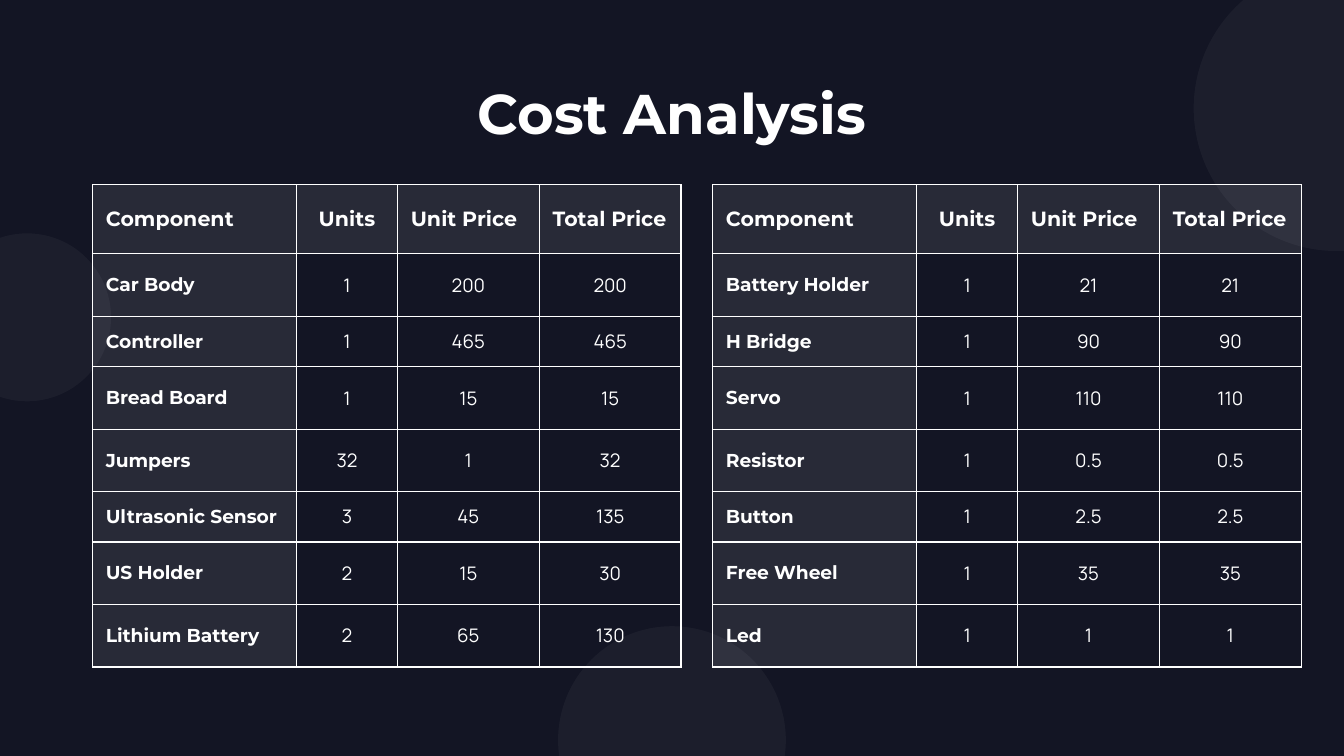
from lxml.etree import SubElement
from pptx import Presentation
from pptx.dml.color import RGBColor
from pptx.enum.shapes import MSO_SHAPE
from pptx.enum.text import MSO_ANCHOR, MSO_AUTO_SIZE, PP_ALIGN
from pptx.oxml import parse_xml
from pptx.oxml.ns import nsdecls, qn
from pptx.util import Pt

WHITE, NAVY = "FFFFFF", "131524"
HEAD, BODY = "Montserrat", "Manrope"
WIDTHS = [109.4, 54, 76, 76]
HEIGHTS = [37, 33.5, 27, 33.5, 33.5, 27, 33.5, 33.5]
HEADS = ["Component", "Units", "Unit Price", "Total Price"]
LEFT = [
    ("Car Body", 1, 200),
    ("Controller", 1, 465),
    ("Bread Board", 1, 15),
    ("Jumpers", 32, 1),
    ("Ultrasonic Sensor", 3, 45),
    ("US Holder", 2, 15),
    ("Lithium Battery", 2, 65),
]
RIGHT = [
    ("Battery Holder", 1, 21),
    ("H Bridge", 1, 90),
    ("Servo", 1, 110),
    ("Resistor", 1, 0.5),
    ("Button", 1, 2.5),
    ("Free Wheel", 1, 35),
    ("Led", 1, 1),
]
CIRCLES = [(299, 335.5, 122), (-30.5, 125, 90), (639.5, -18.5, 153)]


def paint(fill, color, alpha=100):
    fill.solid()
    fill.fore_color.rgb = RGBColor.from_string(color)
    if alpha < 100:
        tone = fill._xPr.find(".//" + qn("a:srgbClr"))
        SubElement(tone, qn("a:alpha")).set("val", str(alpha * 1000))


def write(frame, text, size=10, font=BODY, color=WHITE, bold=False, align=PP_ALIGN.CENTER):
    para = frame.paragraphs[0]
    para.alignment = align
    run = para.add_run()
    run.text = text
    run.font.size = Pt(size)
    run.font.name = font
    run.font.bold = bold
    run.font.color.rgb = RGBColor.from_string(color)


def circle(slide, left, top, size):
    disc = slide.shapes.add_shape(MSO_SHAPE.OVAL, Pt(left), Pt(top), Pt(size), Pt(size))
    disc.shadow.inherit = False
    disc.line.fill.background()
    paint(disc.fill, WHITE, 4)


def title(slide, text, left, top, width, height):
    shape = slide.shapes.title
    shape.left, shape.top = Pt(left), Pt(top)
    shape.width, shape.height = Pt(width), Pt(height)
    frame = shape.text_frame
    frame.auto_size = MSO_AUTO_SIZE.NONE
    frame.word_wrap = True
    frame.vertical_anchor = MSO_ANCHOR.TOP
    frame.margin_left = frame.margin_right = Pt(7.2)
    frame.margin_top = frame.margin_bottom = Pt(7.2)
    write(frame, text, size=30, font=HEAD, bold=True)


def border(cell, color, width):
    props = cell._tc.get_or_add_tcPr()
    for spot, side in enumerate("LRTB"):
        props.insert(spot, parse_xml(
            f'<a:ln{side} {nsdecls("a")} w="{Pt(width)}"><a:solidFill>'
            f'<a:srgbClr val="{color}"/></a:solidFill></a:ln{side}>'))


def costs(slide, items, left, top):
    rows = [HEADS] + [
        (name, str(units), f"{price:g}", f"{units * price:g}")
        for name, units, price in items
    ]
    grid = slide.shapes.add_table(
        len(rows), len(HEADS), Pt(left), Pt(top), Pt(sum(WIDTHS)), Pt(sum(HEIGHTS))).table
    grid.first_row = grid.horz_banding = False
    for col, width in zip(grid.columns, WIDTHS):
        col.width = Pt(width)
    for r, (row, height) in enumerate(zip(rows, HEIGHTS)):
        grid.rows[r].height = Pt(height)
        for c, text in enumerate(row):
            cell = grid.cell(r, c)
            cell.vertical_anchor = MSO_ANCHOR.MIDDLE
            cell.margin_left = cell.margin_right = Pt(7.2)
            cell.margin_top = cell.margin_bottom = Pt(0 if r else 3.6)
            label = r == 0 or c == 0
            if label:
                paint(cell.fill, WHITE, 9)
            else:
                cell.fill.background()
            border(cell, WHITE, 0.75)
            middle = c == 1 or not label
            write(cell.text_frame, text, size=10 if r else 11,
                  font=HEAD if label else BODY, bold=label,
                  align=PP_ALIGN.CENTER if middle else PP_ALIGN.LEFT)


def main():
    deck = Presentation()
    deck.slide_width, deck.slide_height = Pt(720), Pt(405)
    slide = deck.slides.add_slide(deck.slide_layouts[5])
    paint(slide.background.fill, NAVY)
    for spot in CIRCLES:
        circle(slide, *spot)
    title(slide, "Cost Analysis", 56.7, 35, 606.6, 45.4)
    for items, left in ((LEFT, 49.5), (RIGHT, 381.7)):
        costs(slide, items, left, 99)
    deck.save("out.pptx")


if __name__ == "__main__":
    main()
